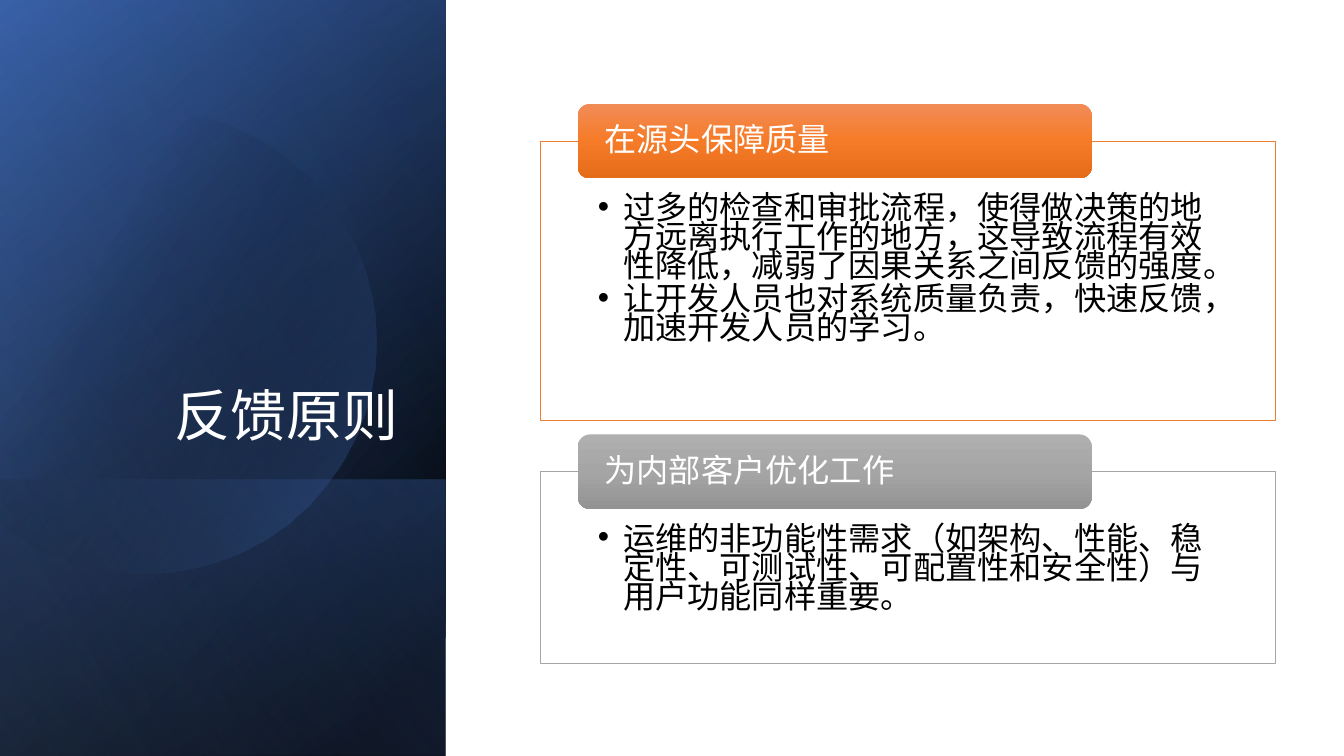
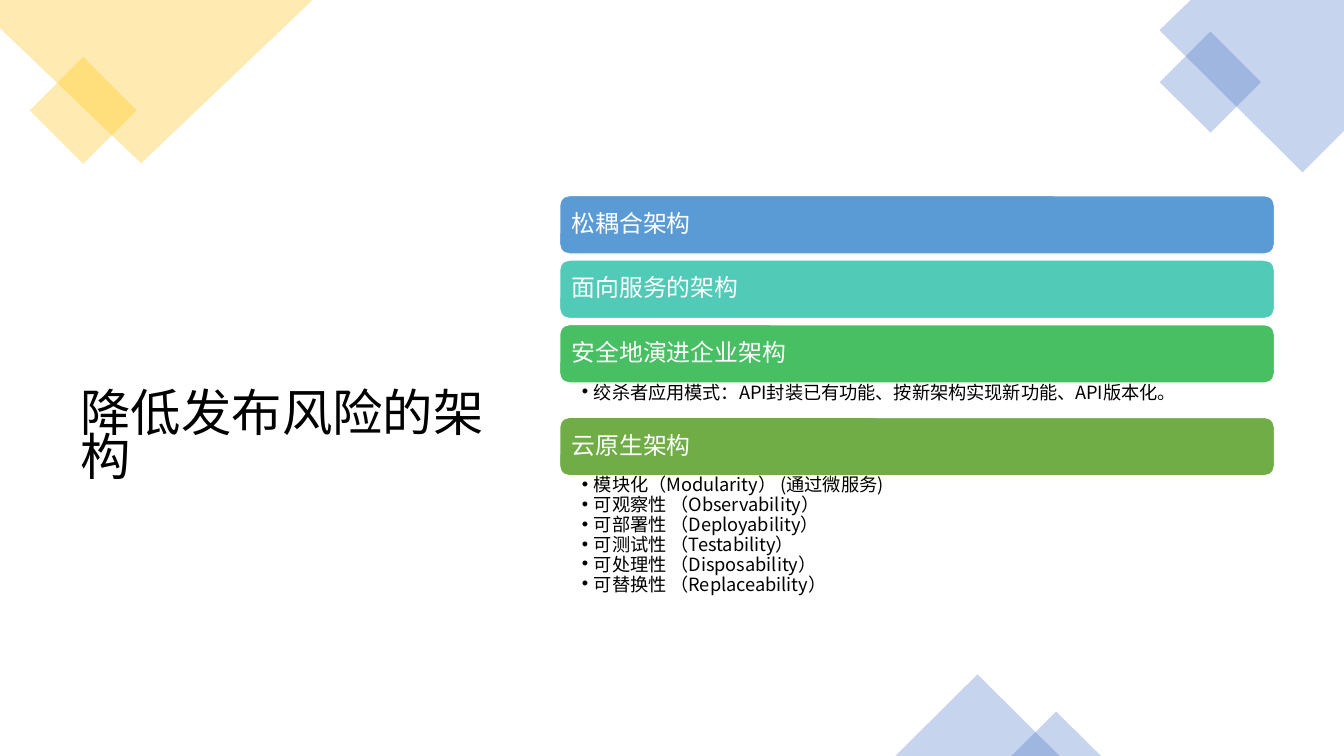
import math

import lxml.etree
import pptx
import pptx.dml.color
import pptx.enum.shapes
import pptx.enum.text
import pptx.oxml.ns
import pptx.util


class Theme:
    font = "Noto Sans CJK SC"
    white, black = "FFFFFF", "000000"
    blue, navy, pale_blue, gold = "4472C4", "2F5597", "8FAADC", "FFC000"
    orange, gray = "ED7D31", "A5A5A5"
    orange_shades = ("F18C57", "F67B28", "E56C19")
    gray_shades = ("AFAFAF", "A5A5A5", "939393")
    azure, teal, green, olive = "5B9BD5", "52CAB8", "49BF64", "70AD47"
    section_title, plain_title = 40, 36
    card_text, label_text, detail_text = 23, 17, 13
    single, tight = 0.9, 0.75


PX = 9144
qn = pptx.oxml.ns.qn
SHAPE = pptx.enum.shapes.MSO_SHAPE
ANCHOR = pptx.enum.text.MSO_ANCHOR
ALIGN = pptx.enum.text.PP_ALIGN
RGB = pptx.dml.color.RGBColor.from_string


def paint(shape, stops, angle=0, line=None, width=1):
    shape.shadow.inherit = False
    if line:
        shape.line.color.rgb = RGB(line)
        shape.line.width = pptx.util.Pt(width)
    else:
        shape.line.fill.background()
    properties = shape._element.spPr
    if len(stops) == 1:
        shape.fill.solid()
        holders = [properties.find(qn("a:solidFill"))]
        holders[0].clear()
    else:
        shape.fill.gradient()
        gradient = properties.find(qn("a:gradFill"))
        for child in list(gradient):
            gradient.remove(child)
        stop_list = lxml.etree.SubElement(gradient, qn("a:gsLst"))
        holders = [lxml.etree.SubElement(stop_list, qn("a:gs"), pos=str(stop[0] * 1000)) for stop in stops]
        lxml.etree.SubElement(gradient, qn("a:lin"), ang=str(angle * 60000), scaled="0")
    for holder, (position, color, opacity) in zip(holders, stops):
        tone = lxml.etree.SubElement(holder, qn("a:srgbClr"), val=color)
        if opacity < 100:
            lxml.etree.SubElement(tone, qn("a:alpha"), val=str(opacity * 1000))


def write(box, lines, size, color, margins, anchor=ANCHOR.MIDDLE, align=ALIGN.LEFT,
          spacing=Theme.single, after=0, indent=0):
    frame = box.text_frame
    frame.word_wrap = True
    frame.vertical_anchor = anchor
    frame.margin_left, frame.margin_top, frame.margin_right, frame.margin_bottom = [m * PX for m in margins]
    for index, line in enumerate(lines):
        para = frame.add_paragraph() if index else frame.paragraphs[0]
        para.text = line
        para.alignment = align
        para.line_spacing = spacing
        para.space_after = pptx.util.Pt(after)
        properties = para._p.get_or_add_pPr()
        if indent:
            properties.set("marL", str(indent * PX))
            properties.set("indent", str(-indent * PX))
            lxml.etree.SubElement(properties, qn("a:buFont"), typeface="Arial")
            lxml.etree.SubElement(properties, qn("a:buChar"), char="•")
        para.font.size = pptx.util.Pt(size)
        para.font.color.rgb = RGB(color)
        para.font.name = Theme.font
        lxml.etree.SubElement(properties.find(qn("a:defRPr")), qn("a:ea"), typeface=Theme.font)


deck = pptx.Presentation()
deck.slide_width, deck.slide_height = 1333 * PX, 750 * PX
blank = deck.slide_layouts[6]

page = deck.slides.add_slide(blank)
shapes = page.shapes

radius, center_x, center_y = 230, 143, 339
half_turn = math.acos(-center_x / radius)
steps = 120
arc = []
for step in range(steps + 1):
    turn = half_turn * (2 * step / steps - 1)
    arc.append((round(center_x + radius * math.cos(turn)), round(center_y + radius * math.sin(turn))))

panel_layers = [
    ((0, 750), [(8, Theme.black, 100), (100, Theme.navy, 100)], 220),
    ((0, 750), [(0, Theme.black, 0), (99, Theme.blue, 46)], 240),
    ((476, 274), [(2, Theme.blue, 29), (100, Theme.black, 30)], 140),
    (None, [(29, Theme.black, 0), (100, Theme.blue, 43)], 30),
    ((0, 750), [(0, Theme.black, 0), (99, Theme.pale_blue, 11)], 150),
]
for span, stops, angle in panel_layers:
    if span:
        layer = shapes.add_shape(SHAPE.RECTANGLE, 0, span[0] * PX, 442 * PX, span[1] * PX)
    else:
        builder = shapes.build_freeform(*arc[0], scale=PX)
        builder.add_line_segments(arc[1:], close=True)
        layer = builder.convert_to_shape()
    paint(layer, stops, angle)

title = shapes.add_textbox(64 * PX, 188 * PX, 341 * PX, 262 * PX)
write(title, ["反馈原则"], Theme.section_title, Theme.white, (10, 5, 10, 5), ANCHOR.BOTTOM, ALIGN.RIGHT)

cards = [
    (140, 277, Theme.orange, Theme.orange_shades, "在源头保障质量", [
        "过多的检查和审批流程，使得做决策的地方远离执行工作的地方，这导致流程有效性降低，减弱了因果关系之间反馈的强度。",
        "让开发人员也对系统质量负责，快速反馈，加速开发人员的学习。",
    ]),
    (468, 190, Theme.gray, Theme.gray_shades, "为内部客户优化工作", [
        "运维的非功能性需求（如架构、性能、稳定性、可测试性、可配置性和安全性）与用户功能同样重要。",
    ]),
]
for top, height, outline, shades, heading, points in cards:
    card = shapes.add_shape(SHAPE.RECTANGLE, 536 * PX, top * PX, 729 * PX, height * PX)
    paint(card, [(0, Theme.white, 90)], line=outline, width=0.5)
    write(card, points, Theme.card_text, Theme.black, (57, 55, 57, 18), ANCHOR.TOP,
          spacing=Theme.tight, after=3, indent=25)
    tab = shapes.add_shape(SHAPE.ROUNDED_RECTANGLE, 573 * PX, (top - 37) * PX, 510 * PX, 74 * PX)
    paint(tab, [(place, shade, 100) for place, shade in zip((0, 50, 100), shades)], 90)
    write(tab, [heading], Theme.card_text, Theme.white, (23, 0, 23, 0))

page = deck.slides.add_slide(blank)
shapes = page.shapes

title = shapes.add_textbox(70 * PX, 190 * PX, 433 * PX, 494 * PX)
write(title, ["降低发布风险的架构"], Theme.plain_title, Theme.black, (10, 5, 10, 5), spacing=0.73)

corners = [
    (Theme.gold, [(0, 0), (310, 0), (140, 162), (0, 28)]),
    (Theme.blue, [(1181, 0), (1333, 0), (1333, 130), (1292, 171), (1150, 30)]),
]
for color, outline in corners:
    builder = shapes.build_freeform(*outline[0], scale=PX)
    builder.add_line_segments(outline[1:], close=True)
    paint(builder.convert_to_shape(), [(0, color, 30)])

accents = [
    (SHAPE.RECTANGLE, 45, 72, 75, 75, 45, Theme.gold),
    (SHAPE.RECTANGLE, 1165, 46, 71, 71, 45, Theme.blue),
    (SHAPE.ISOSCELES_TRIANGLE, 888, 669, 163, 81, 0, Theme.blue),
    (SHAPE.ISOSCELES_TRIANGLE, 1003, 706, 89, 44, 0, Theme.blue),
]
for kind, left, top, width, height, turn, color in accents:
    accent = shapes.add_shape(kind, left * PX, top * PX, width * PX, height * PX)
    accent.rotation = turn
    paint(accent, [(0, color, 30)])

topics = [
    (Theme.azure, "松耦合架构", 0, []),
    (Theme.teal, "面向服务的架构", 0, []),
    (Theme.green, "安全地演进企业架构", 34, ["绞杀者应用模式：API封装已有功能、按新架构实现新功能、API版本化。"]),
    (Theme.olive, "云原生架构", 200, [
        "模块化（Modularity） (通过微服务)",
        "可观察性 （Observability）",
        "可部署性 （Deployability）",
        "可测试性 （Testability）",
        "可处理性 （Disposability）",
        "可替换性 （Replaceability）",
    ]),
]
left, top, width, bar_height, gap = 555, 194, 709, 58, 6
for color, heading, details_height, details in topics:
    bar = shapes.add_shape(SHAPE.ROUNDED_RECTANGLE, left * PX, top * PX, width * PX, bar_height * PX)
    paint(bar, [(0, color, 100)], line=Theme.white)
    write(bar, [heading], Theme.label_text, Theme.white, (9, 7, 9, 7))
    top += bar_height
    if details:
        box = shapes.add_textbox(left * PX, top * PX, width * PX, details_height * PX)
        write(box, details, Theme.detail_text, Theme.black, (22, 3, 13, 2), ANCHOR.TOP,
              spacing=Theme.tight, after=2.5, indent=12)
    top += details_height or gap

deck.save("out.pptx")
